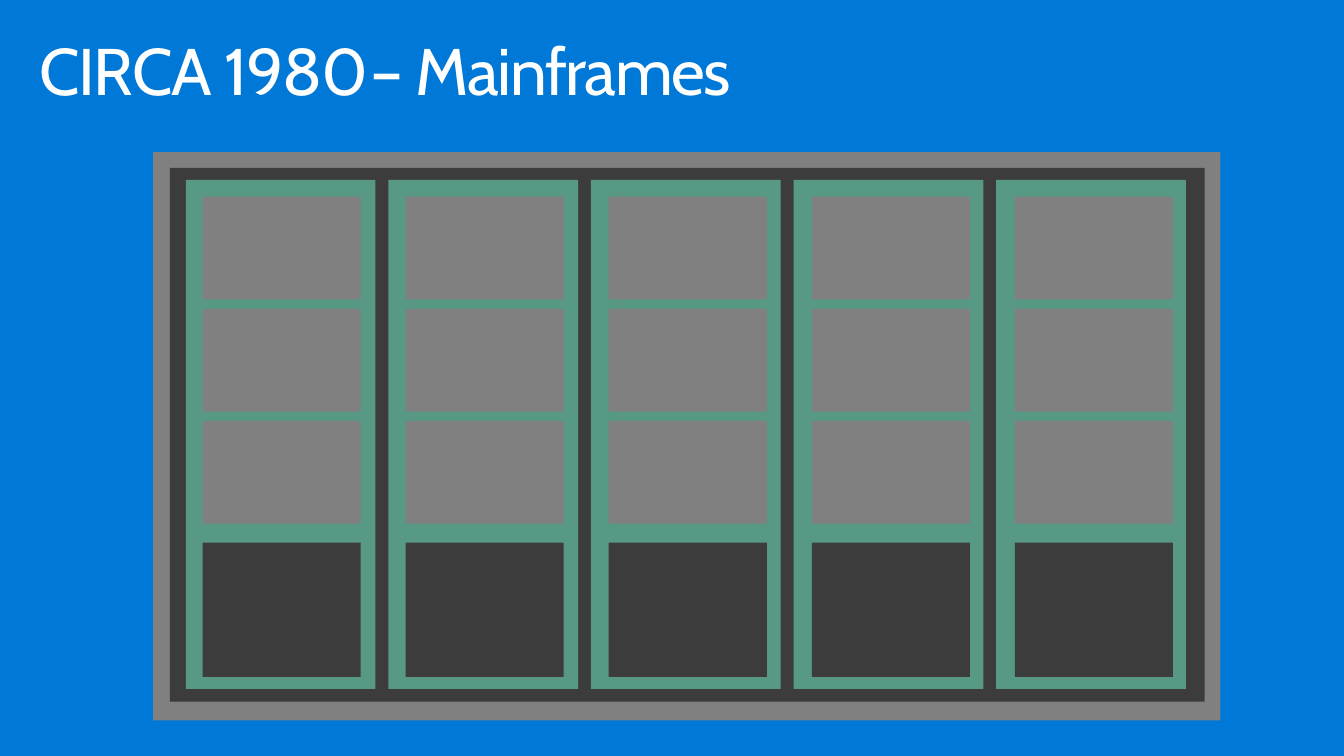
import dataclasses

import pptx
import pptx.dml.color
import pptx.enum.shapes
import pptx.enum.text
import pptx.presentation
import pptx.slide
import pptx.util

BLUE = pptx.dml.color.RGBColor(0x00, 0x78, 0xD7)
WHITE = pptx.dml.color.RGBColor(0xFF, 0xFF, 0xFF)
GRAY = pptx.dml.color.RGBColor(0x80, 0x80, 0x80)
CHARCOAL = pptx.dml.color.RGBColor(0x3C, 0x3C, 0x3C)
GREEN = pptx.dml.color.RGBColor(0x57, 0x99, 0x85)

SLIDE_WIDTH = pptx.util.Inches(13.6)
SLIDE_HEIGHT = pptx.util.Inches(7.65)
GRID_COLUMNS = 1360
GRID_ROWS = 765

RACK_COUNT = 5
RACK_PITCH = 205
BAY_PITCH = 205.5
DRIVE_COUNT = 3
DRIVE_PITCH = 113.5


@dataclasses.dataclass(frozen=True)
class Area:
    column: float
    row: float
    columns: float
    rows: float

    def shifted(self, columns: float = 0, rows: float = 0) -> "Area":
        return dataclasses.replace(self, column=self.column + columns, row=self.row + rows)

    def placement(self) -> tuple[int, int, int, int]:
        cell_width = SLIDE_WIDTH / GRID_COLUMNS
        cell_height = SLIDE_HEIGHT / GRID_ROWS
        return (
            round(self.column * cell_width),
            round(self.row * cell_height),
            round(self.columns * cell_width),
            round(self.rows * cell_height),
        )


@dataclasses.dataclass(frozen=True)
class Panel:
    area: Area
    color: pptx.dml.color.RGBColor


@dataclasses.dataclass(frozen=True)
class Heading:
    area: Area
    text: str


HEADINGS = (
    Heading(Area(30, 32, 1300, 100), "CIRCA 1980"),
    Heading(Area(365, 32, 715, 83), "– Mainframes"),
)
CABINET = (
    Panel(Area(155, 154, 1080, 575), GRAY),
    Panel(Area(172, 170, 1047, 540), CHARCOAL),
)
FIRST_RACK = Area(188, 182, 192, 515)
FIRST_BASE = Area(205, 549, 160, 136)
FIRST_DRIVE = Area(205, 199, 160, 104)


def rack_panels(index: int) -> list[Panel]:
    bay_shift = index * BAY_PITCH
    drives = [
        Panel(FIRST_DRIVE.shifted(bay_shift, drive * DRIVE_PITCH), GRAY)
        for drive in range(DRIVE_COUNT)
    ]
    return [
        Panel(FIRST_RACK.shifted(index * RACK_PITCH), GREEN),
        Panel(FIRST_BASE.shifted(bay_shift), CHARCOAL),
        *drives,
    ]


def draw_panel(slide: pptx.slide.Slide, panel: Panel) -> None:
    shape = slide.shapes.add_shape(
        pptx.enum.shapes.MSO_SHAPE.RECTANGLE, *panel.area.placement()
    )
    shape.shadow.inherit = False
    shape.fill.solid()
    shape.fill.fore_color.rgb = panel.color
    shape.line.fill.background()


def draw_heading(slide: pptx.slide.Slide, heading: Heading) -> None:
    frame = slide.shapes.add_textbox(*heading.area.placement()).text_frame
    frame.word_wrap = True
    frame.vertical_anchor = pptx.enum.text.MSO_ANCHOR.TOP
    frame.margin_top = pptx.util.Inches(0.07)
    paragraph = frame.paragraphs[0]
    paragraph.line_spacing = 0.9
    run = paragraph.add_run()
    run.text = heading.text
    paragraph.font.name = "Cabin"
    paragraph.font.size = pptx.util.Pt(48)
    paragraph.font.color.rgb = WHITE
    run.font._element.set("spc", "-100")


def build_slide(presentation: pptx.presentation.Presentation) -> None:
    slide = presentation.slides.add_slide(presentation.slide_layouts[6])
    slide.background.fill.solid()
    slide.background.fill.fore_color.rgb = BLUE
    for heading in HEADINGS:
        draw_heading(slide, heading)
    for panel in CABINET:
        draw_panel(slide, panel)
    for index in range(RACK_COUNT):
        for panel in rack_panels(index):
            draw_panel(slide, panel)


def main() -> None:
    presentation = pptx.Presentation()
    presentation.slide_width = SLIDE_WIDTH
    presentation.slide_height = SLIDE_HEIGHT
    build_slide(presentation)
    presentation.save("out.pptx")


if __name__ == "__main__":
    main()
